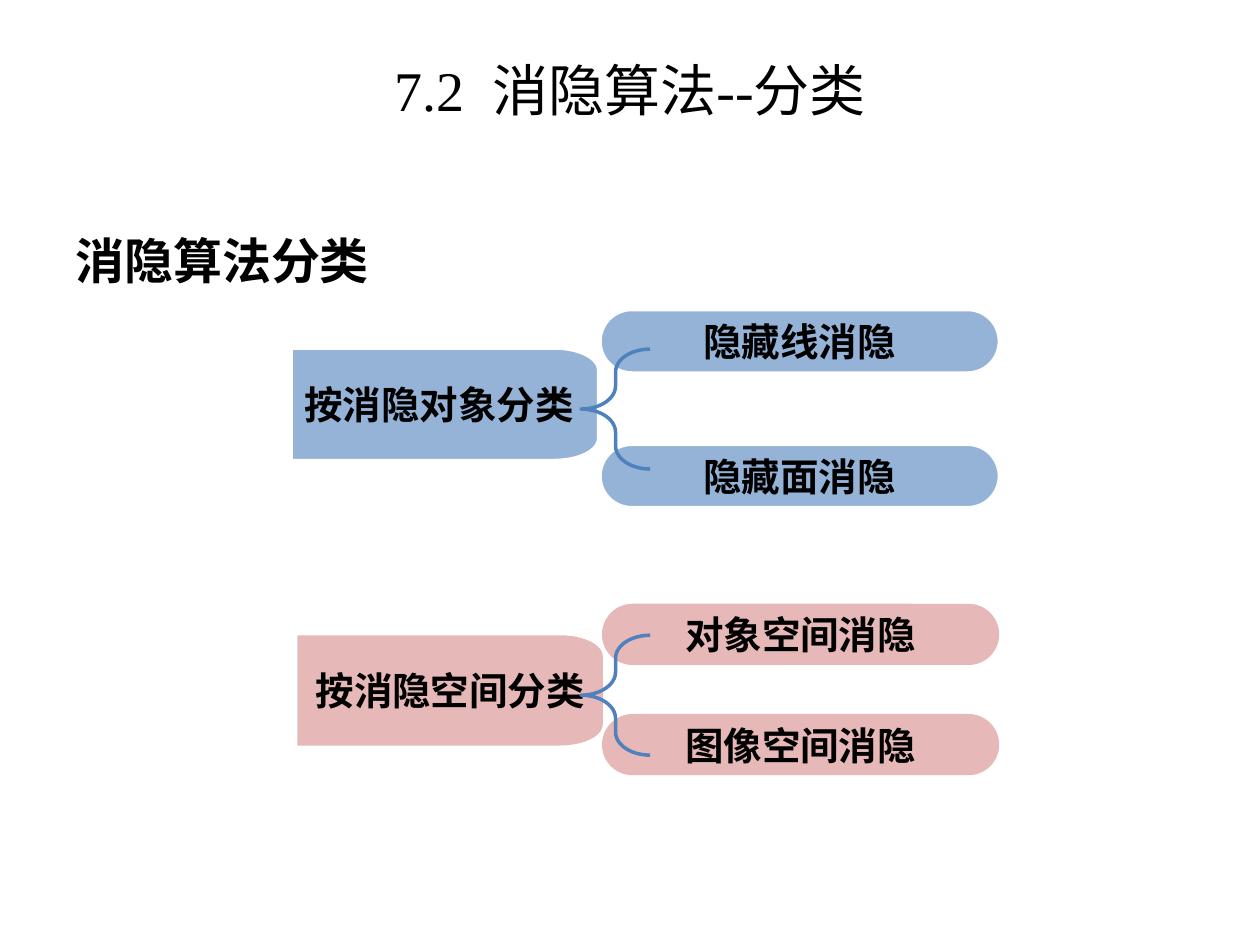
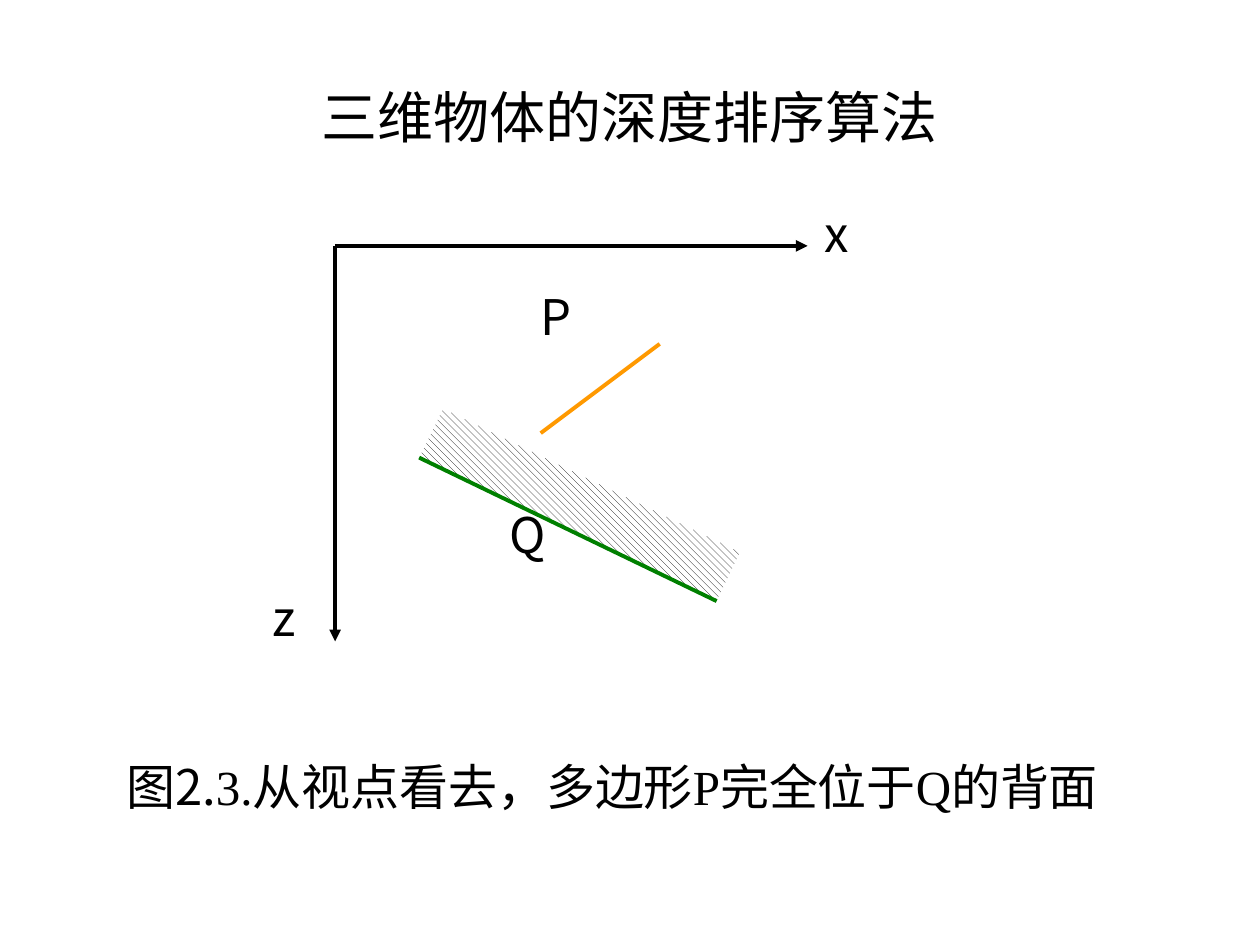
import math
from dataclasses import dataclass

import pptx
import pptx.dml.color
import pptx.enum.dml
import pptx.enum.shapes
import pptx.enum.text
import pptx.oxml
import pptx.oxml.ns
import pptx.util

Pt = pptx.util.Pt
Align = pptx.enum.text.PP_ALIGN
Anchor = pptx.enum.text.MSO_ANCHOR
Preset = pptx.enum.shapes.MSO_SHAPE


@dataclass(frozen=True)
class Theme:
    sans: str = "Noto Sans CJK SC"
    serif: str = "Times New Roman"
    black: str = "000000"
    white: str = "FFFFFF"
    blue: str = "95B3D7"
    pink: str = "E6B9B8"
    brace: str = "4F81BD"
    green: str = "008000"
    orange: str = "FF9900"
    title_size: float = 32
    body_size: float = 28
    label_size: float = 22
    hairline: float = 0.75
    brace_width: float = 2
    line_width: float = 2.25


def rgb(value):
    return pptx.dml.color.RGBColor.from_string(value)


def lengths(values):
    return [Pt(value) for value in values]


class Deck:
    def __init__(self, theme):
        self.theme = theme
        self.presentation = pptx.Presentation()
        self.presentation.slide_width = Pt(720)
        self.presentation.slide_height = Pt(540)
        self.slide = None

    def new_slide(self):
        self.slide = self.presentation.slides.add_slide(self.presentation.slide_layouts[6])

    def add_run(self, paragraph, text, size, font=None, bold=False, spacing=0):
        run = paragraph.add_run()
        run.text = text
        run.font.size = Pt(size)
        run.font.bold = bold
        run.font.color.rgb = rgb(self.theme.black)
        run.font.name = font or self.theme.sans
        properties = run.font._element
        east_asian = pptx.oxml.parse_xml(
            f'<a:ea {pptx.oxml.ns.nsdecls("a")} typeface="{self.theme.sans}"/>')
        properties.append(east_asian)
        if spacing:
            properties.set("spc", str(spacing * 100))

    def text_box(self, box, align=Align.LEFT, anchor=Anchor.TOP, inset=True):
        frame = self.slide.shapes.add_textbox(*lengths(box)).text_frame
        frame.word_wrap = True
        frame.vertical_anchor = anchor
        if not inset:
            frame.margin_left = frame.margin_right = 0
            frame.margin_top = frame.margin_bottom = 0
        paragraph = frame.paragraphs[0]
        paragraph.alignment = align
        return paragraph

    def title(self, top, height):
        return self.text_box((36, top, 648, height), Align.CENTER, Anchor.MIDDLE)

    def paint(self, shape, fill=None, line=None, width=0):
        shape.shadow.inherit = False
        if fill:
            shape.fill.solid()
            shape.fill.fore_color.rgb = rgb(fill)
        else:
            shape.fill.background()
        if line:
            shape.line.color.rgb = rgb(line)
            shape.line.width = Pt(width)
        else:
            shape.line.fill.background()

    def label(self, shape, text, align):
        frame = shape.text_frame
        frame.word_wrap = False
        frame.vertical_anchor = Anchor.MIDDLE
        frame.paragraphs[0].alignment = align
        self.add_run(frame.paragraphs[0], text, self.theme.label_size, bold=True)

    def preset(self, kind, box):
        return self.slide.shapes.add_shape(kind, *lengths(box))

    def category(self, left, top, text, align, fill, line):
        width, height, radius_x, radius_y, steps = 174.5, 63, 24.5, 12, 10
        right, bottom = left + width, top + height
        arc = [(radius_x * (1 - math.sin(angle)), radius_y * (1 - math.cos(angle)))
               for angle in (math.pi / 2 * step / steps for step in range(steps + 1))]
        upper = [(right - x, top + y) for x, y in arc]
        lower = [(right - x, bottom - y) for x, y in reversed(arc)]
        outline = upper + lower + [(left, bottom)]
        builder = self.slide.shapes.build_freeform(Pt(left), Pt(top))
        builder.add_line_segments([lengths(point) for point in outline], close=True)
        shape = builder.convert_to_shape()
        self.paint(shape, fill, line, self.theme.hairline)
        self.label(shape, text, align)

    def pill(self, left, top, text, fill, line):
        shape = self.preset(Preset.ROUNDED_RECTANGLE, (left, top, 227, 35))
        shape.adjustments[0] = 0.5
        self.paint(shape, fill, line, self.theme.hairline)
        self.label(shape, text, Align.CENTER)

    def brace(self, top):
        shape = self.preset(Preset.LEFT_BRACE, (332, top, 39.5, 68.5))
        shape.adjustments[0] = 0.333
        self.paint(shape, line=self.theme.brace, width=self.theme.brace_width)

    def hatched_band(self, box, rotation):
        shape = self.preset(Preset.RECTANGLE, box)
        self.paint(shape)
        shape.rotation = rotation
        shape.fill.patterned()
        shape.fill.pattern = pptx.enum.dml.MSO_PATTERN.WIDE_DOWNWARD_DIAGONAL
        shape.fill.fore_color.rgb = rgb(self.theme.black)
        shape.fill.back_color.rgb = rgb(self.theme.white)

    def line(self, start, end, color, arrow=False):
        connector = self.slide.shapes.add_connector(
            pptx.enum.shapes.MSO_CONNECTOR.STRAIGHT, *lengths(start + end))
        connector.line.color.rgb = rgb(color)
        connector.line.width = Pt(self.theme.line_width)
        namespace = pptx.oxml.ns.nsdecls("a")
        if arrow:
            connector.line._get_or_add_ln().append(
                pptx.oxml.parse_xml(f'<a:tailEnd {namespace} type="triangle"/>'))
        connector._element.spPr.append(pptx.oxml.parse_xml(f"<a:effectLst {namespace}/>"))

    def letter(self, left, top, text):
        paragraph = self.text_box((left, top, 27.5, 47), Align.JUSTIFY, inset=False)
        self.add_run(paragraph, text, self.theme.body_size)


def classification_slide(deck):
    theme = deck.theme
    deck.new_slide()
    heading = deck.text_box((36, 111.5, 648, 371))
    heading.line_spacing = 1.5
    heading.space_before = Pt(5.6)
    deck.add_run(heading, "消隐算法分类", theme.body_size, bold=True)

    groups = [
        (167, 199.5, "按消隐对象分类", Align.LEFT, theme.blue, theme.white,
         343.5, [(177.5, "隐藏线消隐"), (254.5, "隐藏面消隐")]),
        (170, 363, "按消隐空间分类", Align.CENTER, theme.pink, None,
         344, [(345, "对象空间消隐"), (408, "图像空间消隐")]),
    ]
    for left, top, text, align, fill, line, pill_left, pills in groups:
        deck.category(left, top, text, align, fill, line)
        for pill_top, pill_text in pills:
            deck.pill(pill_left, pill_top, pill_text, fill, line)

    title = deck.title(22.5, 57)
    deck.add_run(title, "7.2", theme.title_size, theme.serif)
    deck.add_run(title, " ", theme.title_size, theme.serif, spacing=8)
    deck.add_run(title, "消隐算法--分类", theme.title_size, theme.serif)
    for group in groups:
        deck.brace(group[1])


def depth_sorting_slide(deck):
    theme = deck.theme
    deck.new_slide()
    deck.add_run(deck.title(21.5, 90), "三维物体的深度排序算法", theme.title_size)

    origin = (191.5, 140.5)
    for axis_end in ((191.5, 366.5), (461.5, 140.5)):
        deck.line(origin, axis_end, theme.black, arrow=True)
    for left, top, text in ((155.5, 335.5, "z"), (471, 116.5, "x"),
                            (309, 163.5, "P"), (291, 288.5, "Q")):
        deck.letter(left, top, text)
    deck.hatched_band((237, 273, 188.5, 31), 205.8)
    deck.line((409.5, 343.5), (239.5, 261.5), theme.green)
    deck.line((309, 247.5), (377, 196.5), theme.orange)

    caption = deck.text_box((65, 428.5, 575, 41))
    caption.space_before = caption.space_after = Pt(14)
    deck.add_run(caption, "图2.", theme.body_size)
    deck.add_run(caption, "3.从视点看去，多边形P完全位于Q的背面", theme.body_size, theme.serif)


def main():
    deck = Deck(Theme())
    classification_slide(deck)
    depth_sorting_slide(deck)
    deck.presentation.save("out.pptx")


if __name__ == "__main__":
    main()
